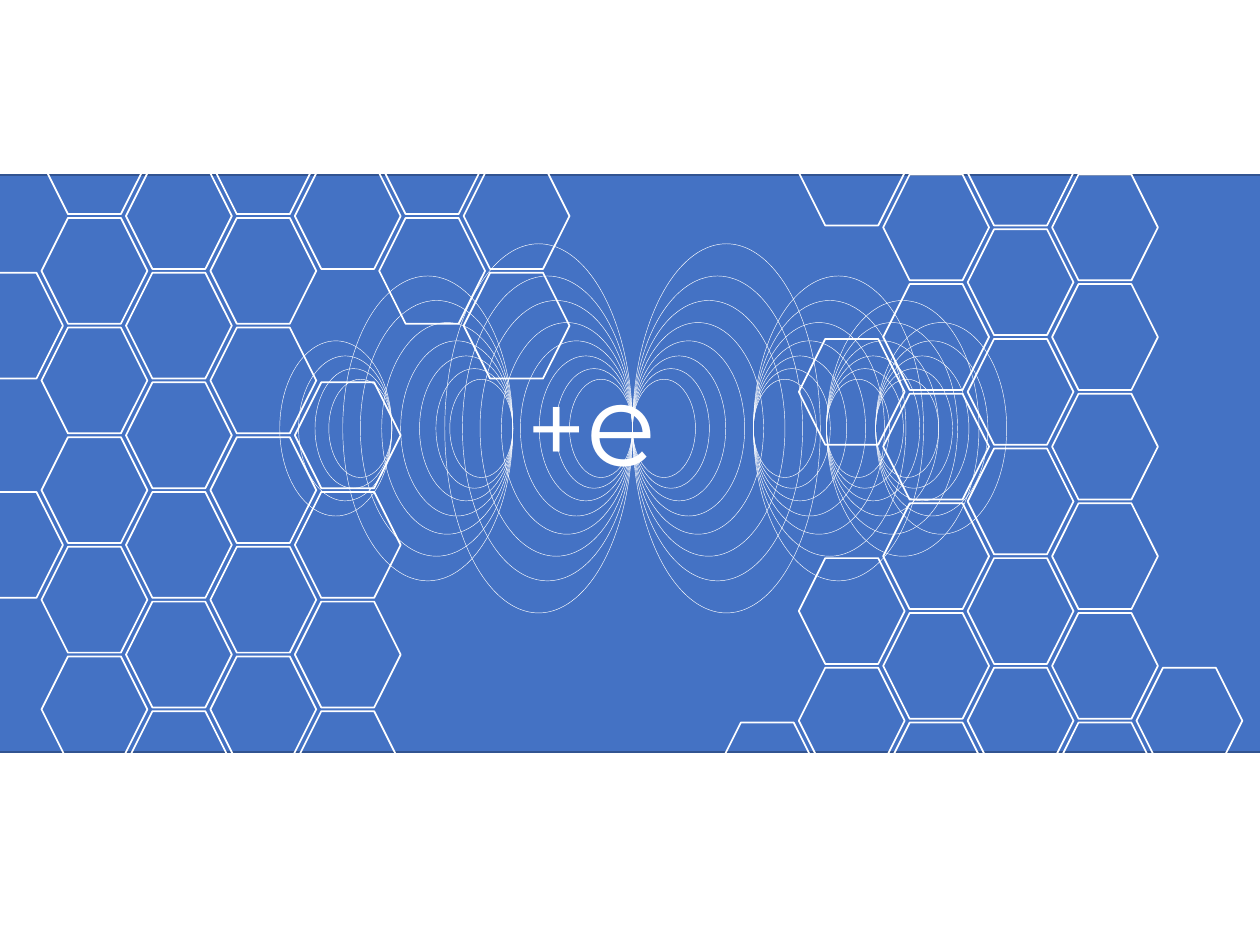
"""Build a slide with two honeycombs and fans of field lines around a charge."""
from typing import NamedTuple

from pptx import Presentation
from pptx.dml.color import RGBColor
from pptx.enum.shapes import MSO_SHAPE
from pptx.enum.text import MSO_AUTO_SIZE
from pptx.util import Inches, Pt

RECTANGLE, HEXAGON, OVAL = MSO_SHAPE.RECTANGLE, MSO_SHAPE.HEXAGON, MSO_SHAPE.OVAL
FIT_SHAPE = MSO_AUTO_SIZE.SHAPE_TO_FIT_TEXT
WHITE = RGBColor(0xFF, 0xFF, 0xFF)
BLUE = RGBColor(0x44, 0x72, 0xC4)
DARK_BLUE = RGBColor(0x32, 0x54, 0x91)
FONT = "Montserrat"

CELL = 0.84
COLUMN_PITCH = 0.67
ROW_PITCH = 0.87
FIELD_AXIS = 3.4
LOOPS = [(0.5, 0.78), (0.61, 0.95), (0.74, 1.15), (0.89, 1.39),
         (1.04, 1.68), (1.21, 2.03), (1.35, 2.42), (1.49, 2.93)]


class Honeycomb(NamedTuple):
    """Grid origin and the occupied rows of each column."""
    left: float
    top: float
    columns: list[list[int]]


class Fan(NamedTuple):
    """Loops that touch at one point and open to one side."""
    anchor: float
    opens_right: bool
    loops: int


FULL = list(range(6))
HONEYCOMBS = [
    Honeycomb(-0.34, 0.86, [[1, 3], FULL, FULL, FULL, [0, 2, 3, 4, 5], [0, 1], [0, 1]]),
    Honeycomb(5.67, 0.95, [[5], [0, 2, 4, 5], FULL, FULL, FULL, [5]]),
]
FANS = [
    Fan(3.11, False, 4), Fan(4.07, False, 7), Fan(5.02, False, 8),
    Fan(5.02, True, 8), Fan(5.98, True, 7), Fan(6.56, True, 6), Fan(6.95, True, 5),
]


def add_outline(page, kind, left: float, top: float, width: float, height: float,
                weight: float, color: RGBColor = WHITE):
    """Add an unfilled preset shape, measured in inches."""
    shape = page.shapes.add_shape(kind, Inches(left), Inches(top), Inches(width), Inches(height))
    shape.shadow.inherit = False
    shape.fill.background()
    shape.line.color.rgb = color
    shape.line.width = Pt(weight)
    return shape


def add_honeycomb(page, comb: Honeycomb) -> None:
    """Draw hexagons, with every even column half a row lower."""
    for column, rows in enumerate(comb.columns):
        shift = 0.5 if column % 2 == 0 else 0
        for row in rows:
            add_outline(page, HEXAGON, comb.left + column * COLUMN_PITCH,
                        comb.top + (row + shift) * ROW_PITCH, CELL, CELL, 1)


def add_fan(page, fan: Fan) -> None:
    """Draw the loops of one fan, centred on the field axis."""
    for width, height in LOOPS[:fan.loops]:
        left = fan.anchor if fan.opens_right else fan.anchor - width
        add_outline(page, OVAL, left, FIELD_AXIS - height / 2, width, height, 0.25)


def add_charge(page) -> None:
    """Add the charge symbol."""
    box = page.shapes.add_textbox(Inches(4.08), Inches(2.74), Inches(1.37), Inches(1.21))
    frame = box.text_frame
    frame.word_wrap = False
    frame.auto_size = FIT_SHAPE
    para = frame.paragraphs[0]
    for text, size in (("+", 60), ("e", 66)):
        span = para.add_run()
        span.text = text
        span.font.name = FONT
        span.font.size = Pt(size)
        span.font.color.rgb = WHITE


def main() -> None:
    """Build and save the deck."""
    deck = Presentation()
    deck.slide_width, deck.slide_height = Inches(10), Inches(7.5)
    page = deck.slides.add_slide(deck.slide_layouts[6])
    band = add_outline(page, RECTANGLE, -1.65, 1.39, 13.6, 4.58, 1, DARK_BLUE)
    band.fill.solid()
    band.fill.fore_color.rgb = BLUE
    for comb in HONEYCOMBS:
        add_honeycomb(page, comb)
    for fan in FANS:
        add_fan(page, fan)
    add_charge(page)
    deck.save("out.pptx")


main()
